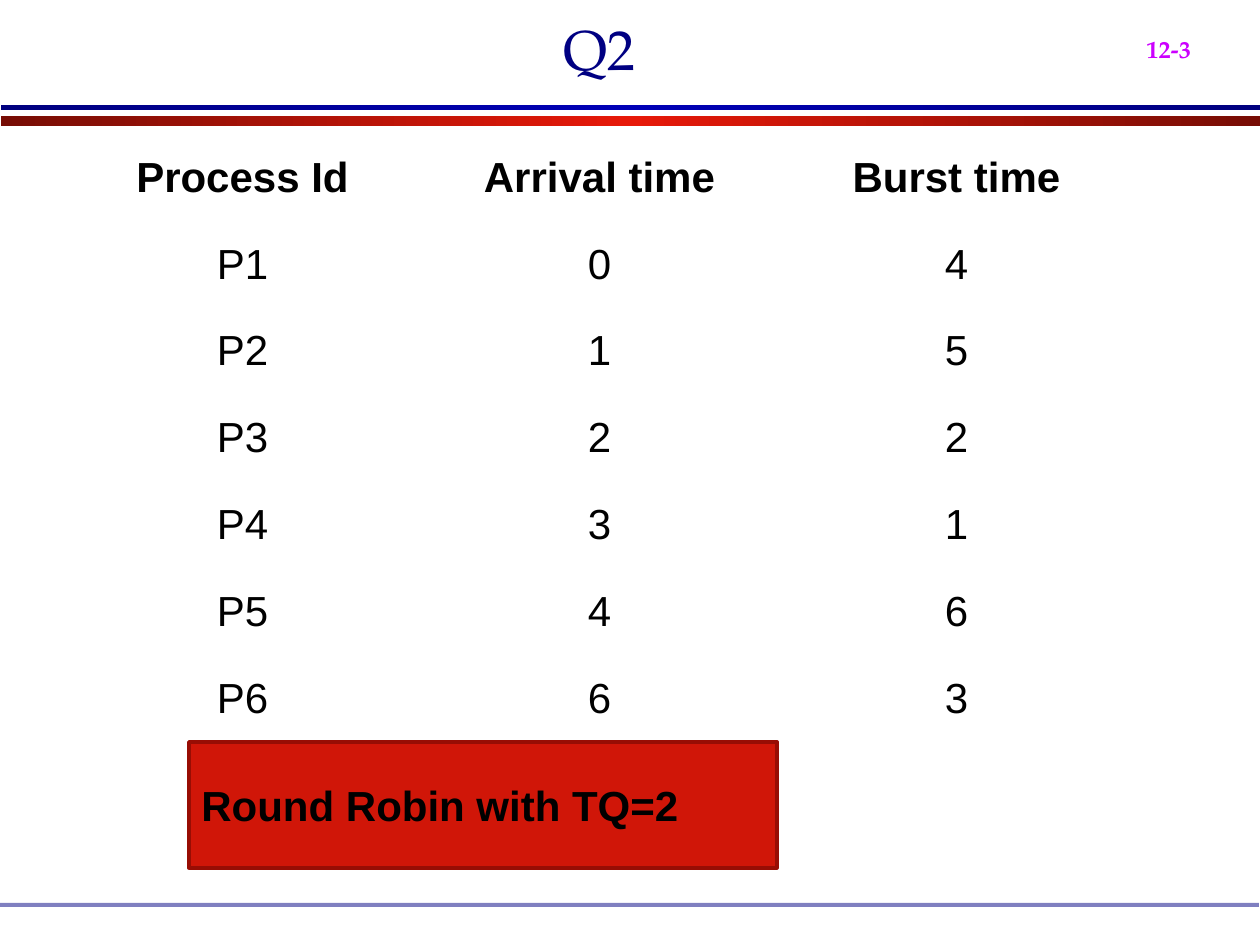
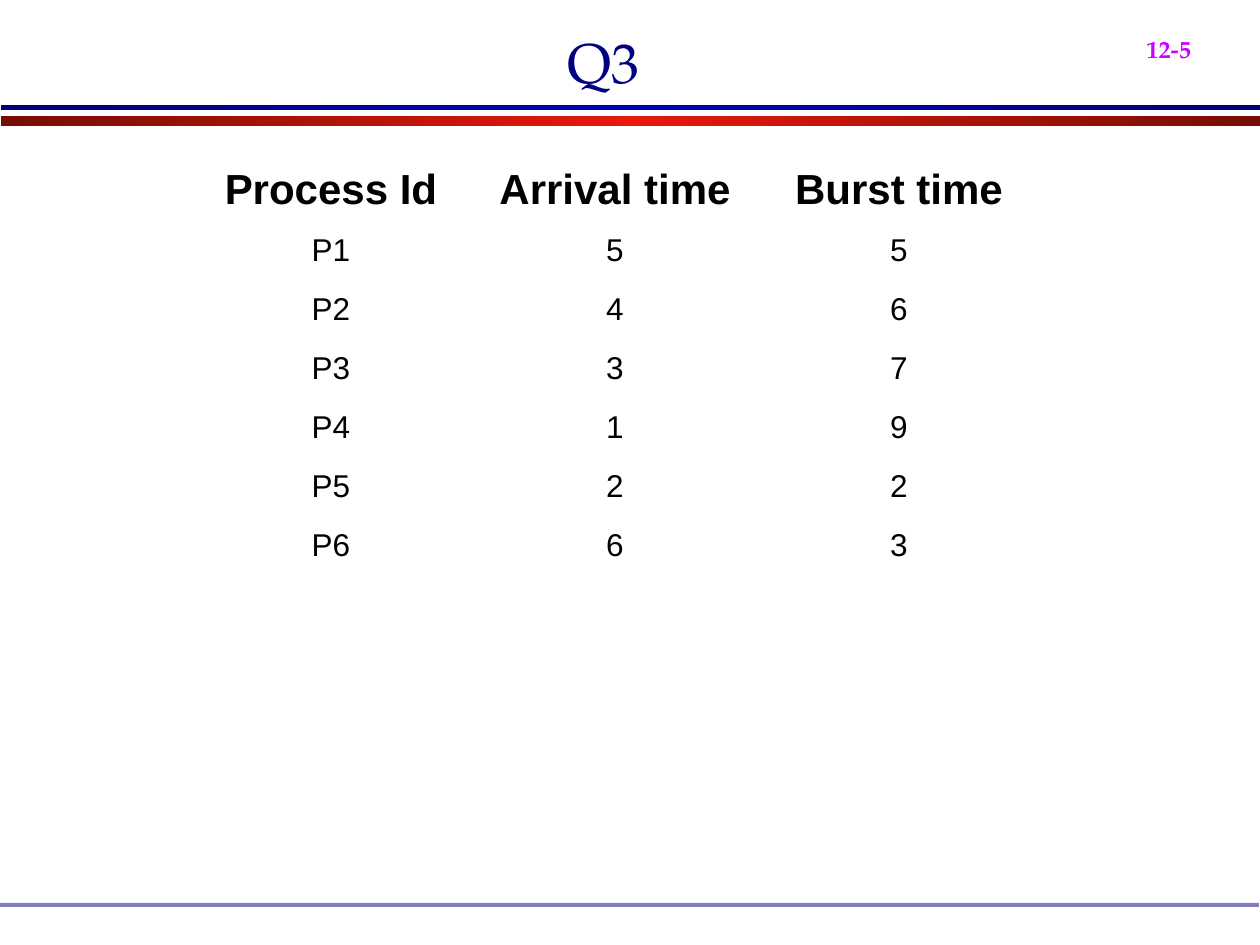
from copy import deepcopy

from pptx import Presentation
from pptx.dml.color import RGBColor
from pptx.enum.shapes import MSO_SHAPE as Shape
from pptx.enum.text import MSO_ANCHOR as Anchor, PP_ALIGN as Align
from pptx.oxml.ns import qn
from pptx.oxml.xmlchemy import OxmlElement
from pptx.util import Pt

# Content
HEADINGS = ("Process Id", "Arrival time", "Burst time")
QUESTIONS = [
    {
        "title": "Q2", "title_box": (551, 8, 159, 136), "title_align": Align.LEFT,
        "number": "12-3",
        "times": [(0, 4), (1, 5), (2, 2), (3, 1), (4, 6), (6, 3)],
        "table_at": (64, 134), "column": 357, "head_row": 87, "row": 87, "size": 24,
        "note": "Round Robin with TQ=2",
    },
    {
        "title": "Q3", "title_box": (42, 21, 1124, 136), "title_align": Align.CENTER,
        "number": "12-5",
        "times": [(5, 5), (4, 6), (3, 7), (1, 9), (2, 2), (6, 3)],
        "table_at": (189, 158), "column": 284, "head_row": 63, "row": 59, "size": 18,
        "note": None,
    },
]

# Shared style
BLACK = RGBColor(0x00, 0x00, 0x00)
NAVY = RGBColor(0x00, 0x00, 0x82)
MAGENTA = RGBColor(0xCC, 0x00, 0xFF)
RED = RGBColor(0xD0, 0x16, 0x08)
DARK_RED = RGBColor(0x98, 0x0D, 0x04)
RED_BAND = (RGBColor(0x77, 0x0D, 0x05), RGBColor(0xE7, 0x19, 0x09))
BLUE_BAND = (RGBColor(0x00, 0x00, 0x7F), RGBColor(0x00, 0x00, 0xB6))
SERIF, SANS = "TeX Gyre Pagella", "Arial"

BANDS = [((1, 116, 1259, 10), RED_BAND), ((1, 105, 1259, 5), BLUE_BAND)]
FOOTER_RULE = (0, 903, 1259, 4)
NUMBER_BOX = (1134, 0, 136, 71)
NOTE_BOX = (189, 742, 588, 126)
HEAD_SIZE = 24


def px(length):
    return round(length * 914400 / 126)


def write(frame, text, face, size, color, bold=False, align=Align.LEFT):
    para = frame.paragraphs[0]
    para.text = text
    para.alignment = align
    font = para.font
    font.name, font.size, font.bold = face, Pt(size), bold
    font.color.rgb = color
    return para


def add_rectangle(page, area):
    box = page.shapes.add_shape(Shape.RECTANGLE, *map(px, area))
    box.shadow.inherit = False
    box.line.fill.background()
    return box


def add_text(page, area, *style, **options):
    box = page.shapes.add_textbox(*map(px, area))
    box.text_frame.word_wrap = True
    return write(box.text_frame, *style, **options)


def add_band(page, area, edge, middle):
    fill = add_rectangle(page, area).fill
    fill.gradient()
    fill.gradient_angle = 0
    # A new gradient has two stops; the band needs a third
    stop_list = page.shapes[-1].element.spPr.find(".//" + qn("a:gsLst"))
    stop_list.append(deepcopy(stop_list[-1]))
    for stop, place, color in zip(fill.gradient_stops, (0, 0.5, 1), (edge, middle, edge)):
        stop.position = place
        stop.color.rgb = color


def add_frame(page, number):
    for area, colors in BANDS:
        add_band(page, area, *colors)
    rule = add_rectangle(page, FOOTER_RULE)
    rule.fill.solid()
    rule.fill.fore_color.rgb = NAVY
    alpha = OxmlElement("a:alpha")
    alpha.set("val", "50000")
    rule.element.spPr.find(".//" + qn("a:srgbClr")).append(alpha)
    # Page number, set as a subscript
    para = add_text(page, NUMBER_BOX, number, SERIF, 24, MAGENTA, bold=True)
    para.space_before = Pt(15)
    para.runs[0].font._element.set("baseline", "-25000")


def add_process_table(page, question):
    rows = [HEADINGS] + [(f"P{i}", *pair) for i, pair in enumerate(question["times"], 1)]
    heights = [question["head_row"]] + [question["row"]] * len(question["times"])
    width = question["column"] * len(HEADINGS)
    left, top = question["table_at"]
    table = page.shapes.add_table(
        len(rows), len(HEADINGS), *map(px, (left, top, width, sum(heights)))).table
    table.first_row = table.horz_banding = False
    for column in table.columns:
        column.width = px(question["column"])
    for r, (values, height) in enumerate(zip(rows, heights)):
        table.rows[r].height = px(height)
        size = question["size"] if r else HEAD_SIZE
        for c, value in enumerate(values):
            cell = table.cell(r, c)
            cell.fill.background()
            cell.vertical_anchor = Anchor.MIDDLE
            write(cell.text_frame, str(value), SANS, size, BLACK, bold=r == 0, align=Align.CENTER)


def add_note(page, text):
    box = add_rectangle(page, NOTE_BOX)
    box.fill.solid()
    box.fill.fore_color.rgb = RED
    box.line.color.rgb = DARK_RED
    box.line.width = Pt(2)
    box.text_frame.vertical_anchor = Anchor.MIDDLE
    write(box.text_frame, text, SANS, 24, BLACK, bold=True)


def main():
    deck = Presentation()
    deck.slide_width, deck.slide_height = px(1260), px(945)
    for question in QUESTIONS:
        page = deck.slides.add_slide(deck.slide_layouts[6])
        add_frame(page, question["number"])
        add_process_table(page, question)
        if question["note"]:
            add_note(page, question["note"])
        add_text(page, question["title_box"], question["title"], SERIF, 32, NAVY,
                 align=question["title_align"])
    deck.save("out.pptx")


if __name__ == "__main__":
    main()
